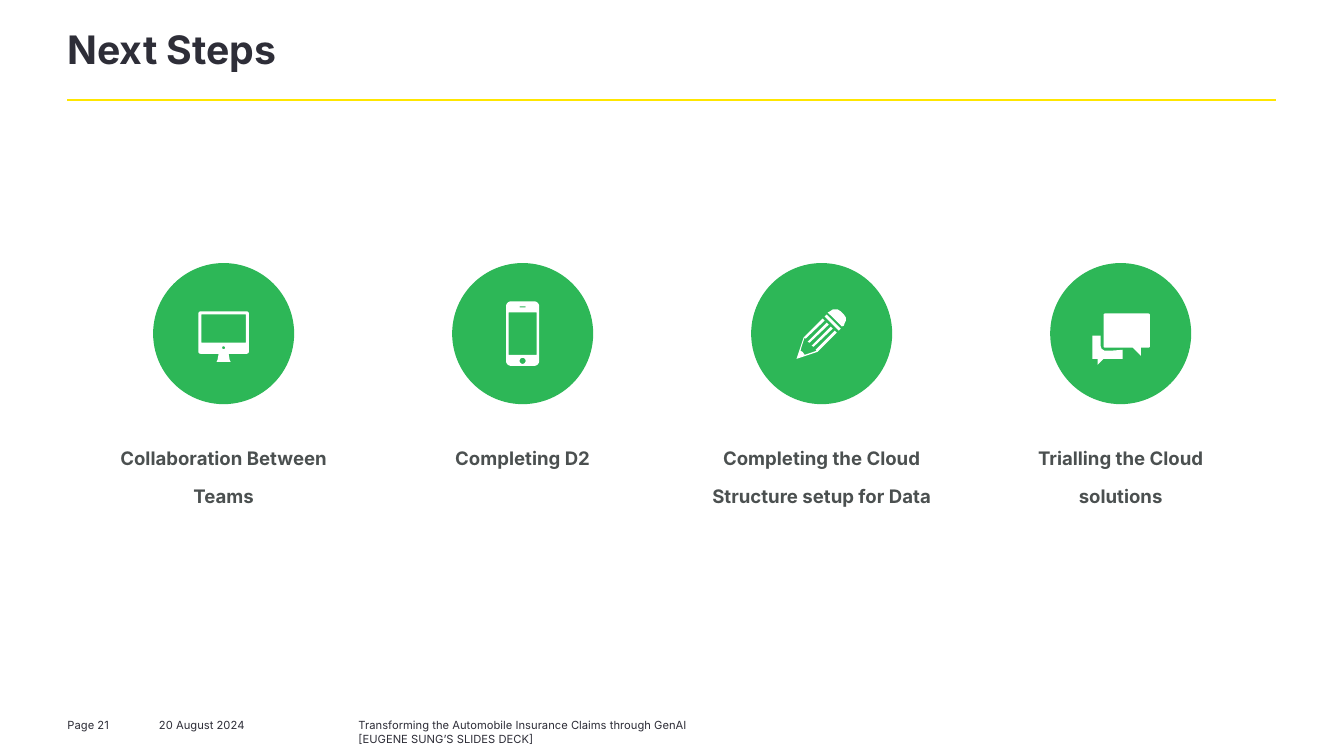
from dataclasses import dataclass
from math import cos, pi, sin

from lxml import etree
from pptx import Presentation
from pptx import util as u
from pptx.dml.color import RGBColor
from pptx.enum import shapes, text
from pptx.oxml.ns import qn


@dataclass(frozen=True)
class Theme:
    font: str = "Inter"
    dark: str = "2E2E38"
    label: str = "4B5050"
    green: str = "2DB757"
    yellow: str = "FFE600"
    white: str = "FFFFFF"
    title_size: float = 28
    label_size: float = 13.3
    footer_size: float = 8


# Grid: every length is a number of columns or rows
COLS, ROWS = 1334, 750
CELL = u.Inches(0.01)


def rounded(left, top, right, bottom, radius=0, steps=6):
    """Corner points of a rectangle, with arcs where radius is given."""
    if not radius:
        return [(left, top), (right, top), (right, bottom), (left, bottom)]
    corners = [(right - radius, bottom - radius), (left + radius, bottom - radius),
               (left + radius, top + radius), (right - radius, top + radius)]
    return [(cx + radius * cos(a), cy + radius * sin(a))
            for q, (cx, cy) in enumerate(corners)
            for a in [(q + k / steps) * pi / 2 for k in range(steps + 1)]]


def dot(cx, cy, r):
    return rounded(cx - r, cy - r, cx + r, cy + r, r)


# Icon outlines, measured from the centre of the disc
MONITOR = [
    rounded(-25, -22, 25, 20, 2),
    rounded(-22, -19, 22, 9),
    dot(0, 14, 1.5),
    [(-5, 20), (5, 20), (6, 26), (7, 28), (-7, 28), (-6, 26)],
]
PHONE = [
    rounded(-16.5, -32, 16.5, 32, 5),
    rounded(-14, -21, 14, 21),
    dot(0, 27, 3),
    rounded(-3, -27, 3, -26),
]
PENCIL = [
    [(-25, 25), (-18, 4), (1, -15), (3, -13), (-16, 5), (-17, 4), (-18, 7),
     (-19, 10), (-20, 13), (-21, 17), (-19, 18), (-17, 21), (-5, 17), (-6, 16),
     (13, -3), (15, -1), (-4, 18)],
    *[[(x + d, y + d) for x, y in [(-14, 8), (5, -11), (7, -9), (-12, 9)]]
      for d in (0, 4)],
    [(3, -17), (5, -19), (19, -5), (17, -3)],
    [(6, -21), (8, -22), (11, -24), (13, -24), (16, -24), (19, -22), (22, -19),
     (24, -16), (24, -13), (23, -11), (22, -8), (20, -7)],
]
CHAT = [
    [(-28, 2), (-20, 2), (-20, 12), (-19, 15), (-16, 17), (-10, 17), (2, 16),
     (2, 25), (-17, 25), (-23, 31), (-23, 25), (-28, 25)],
    rounded(-17, -20, 29, 14, 1.5),
    [(12, 14), (20, 14), (20, 22)],
]


class Deck:
    def __init__(self, theme):
        self.theme = theme
        self.prs = Presentation()
        self.prs.slide_width, self.prs.slide_height = COLS * CELL, ROWS * CELL
        self.s = self.prs.slides.add_slide(self.prs.slide_layouts[6])

    def box(self, *cells):
        return [round(c * CELL) for c in cells]

    def paint(self, sp, color):
        sp.shadow.inherit = False
        sp.fill.solid()
        sp.fill.fore_color.rgb = RGBColor.from_string(color)
        sp.line.fill.background()

    def text(self, words, area, size, color, bold=False, spacing=None,
             align=text.PP_ALIGN.LEFT, insets=(0, 0, 0, 0)):
        tf = self.s.shapes.add_textbox(*self.box(*area)).text_frame
        tf.word_wrap = True
        (tf.margin_left, tf.margin_top,
         tf.margin_right, tf.margin_bottom) = self.box(*insets)
        p = tf.paragraphs[0]
        p.text, p.alignment = words, align
        if spacing:
            p.line_spacing = spacing
        p.font.name, p.font.size, p.font.bold = self.theme.font, u.Pt(size), bold
        p.font.color.rgb = RGBColor.from_string(color)

    def rule(self, left, right, y, color, weight):
        line = self.s.shapes.add_connector(
            shapes.MSO_CONNECTOR.STRAIGHT, *self.box(left, y, right, y))
        line.line.color.rgb = RGBColor.from_string(color)
        line.line.width = u.Pt(weight)
        etree.SubElement(line._element.spPr, qn("a:effectLst"))

    def disc(self, cx, cy, r, color):
        sp = self.s.shapes.add_shape(
            shapes.MSO_SHAPE.OVAL, *self.box(cx - r, cy - r, 2 * r, 2 * r))
        self.paint(sp, color)

    def icon(self, cx, cy, outlines, color):
        (x, y), *rest = outlines[0]
        builder = self.s.shapes.build_freeform(*self.box(cx + x, cy + y))
        builder.add_line_segments([self.box(cx + a, cy + b) for a, b in rest])
        for (x, y), *rest in outlines[1:]:
            builder.move_to(*self.box(cx + x, cy + y))
            builder.add_line_segments([self.box(cx + a, cy + b) for a, b in rest])
        self.paint(builder.convert_to_shape(), color)


def main():
    theme = Theme()
    deck = Deck(theme)

    # Title and rule
    deck.text("Next Steps", (67, 32, 1201, 65), theme.title_size, theme.dark,
              bold=True, spacing=0.85)
    deck.rule(67, 1267, 99, theme.yellow, 1.5)

    # Four steps at an equal pitch
    steps = [
        ("Collaboration Between Teams", MONITOR),
        ("Completing D2", PHONE),
        ("Completing the Cloud Structure setup for Data", PENCIL),
        ("Trialling the Cloud solutions", CHAT),
    ]
    first, pitch, middle, radius, label_width = 222, 296.8, 331, 70, 239
    for i, (label, outlines) in enumerate(steps):
        cx = first + i * pitch
        deck.disc(cx, middle, radius, theme.green)
        deck.icon(cx, middle, outlines, theme.white)
        deck.text(label, (cx - label_width / 2, 428, label_width, 61),
                  theme.label_size, theme.label, bold=True, spacing=1.7,
                  align=text.PP_ALIGN.CENTER)

    # Footer
    footer = [
        ("Page 21", 67, 73, 0),
        ("20 August 2024", 148, 130, 10),
        ("Transforming the Automobile Insurance Claims through GenAI "
         "[EUGENE SUNG’S SLIDES DECK]", 346, 355, 10),
    ]
    for words, left, width, inset in footer:
        deck.text(words, (left, 708, width, 20), theme.footer_size, theme.dark,
                  insets=(inset, 5, 10, 5))

    deck.prs.save("out.pptx")


if __name__ == "__main__":
    main()
